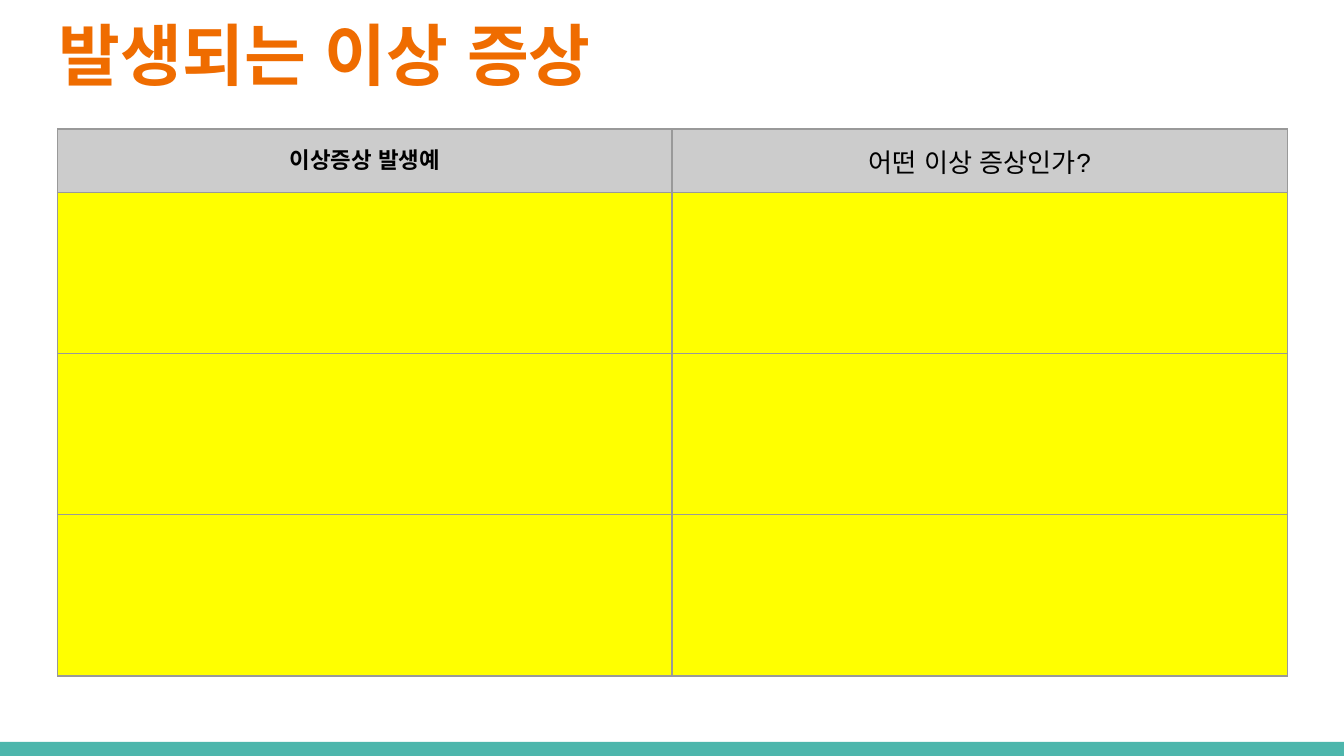
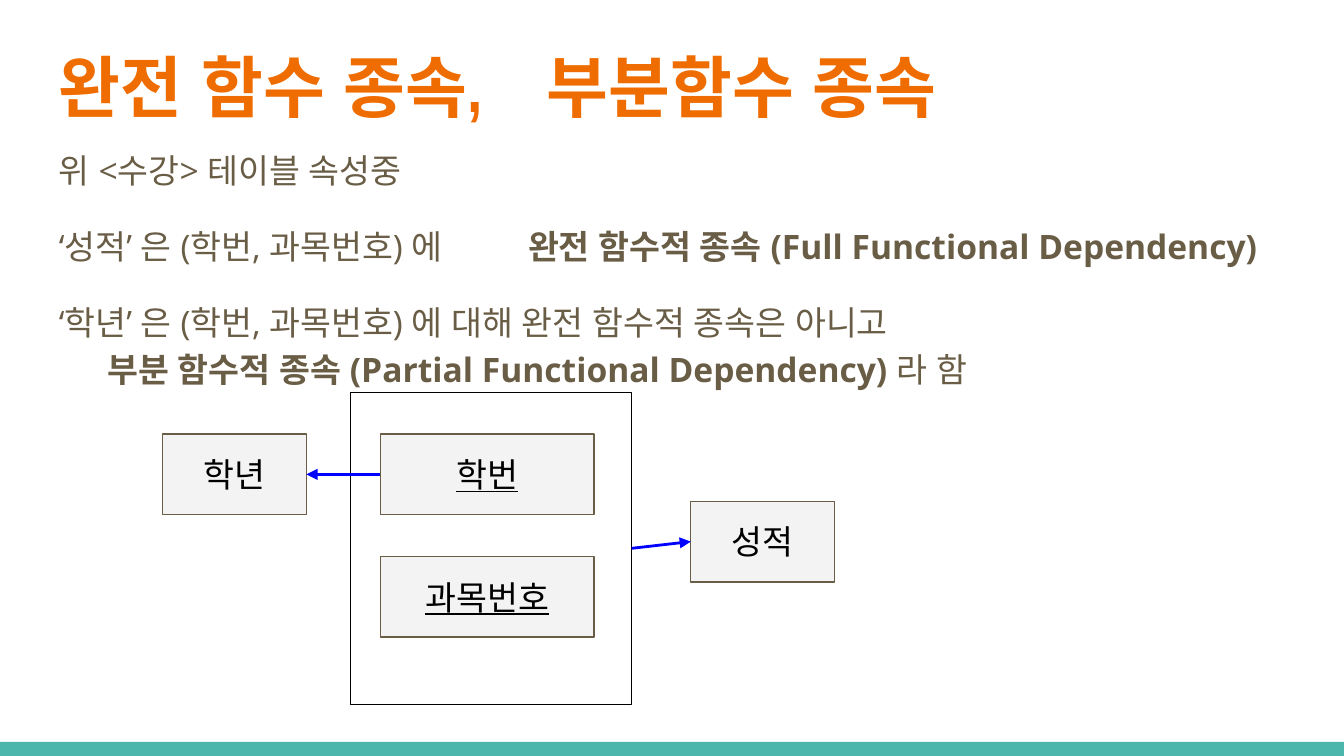
from lxml.etree import SubElement
from pptx import Presentation
from pptx.dml.color import RGBColor
from pptx.enum.lang import MSO_LANGUAGE_ID
from pptx.enum.shapes import MSO_CONNECTOR, MSO_SHAPE
from pptx.enum.text import MSO_ANCHOR, PP_ALIGN
from pptx.oxml.ns import qn
from pptx.util import Inches, Pt

WHITE = RGBColor(0xFF, 0xFF, 0xFF)
BLACK = RGBColor(0, 0, 0)
TEAL = RGBColor(0x4D, 0xB6, 0xAC)
ORANGE = RGBColor(0xEF, 0x6C, 0x00)
BROWN = RGBColor(0x69, 0x5D, 0x46)
LIGHT_GRAY = RGBColor(0xF3, 0xF3, 0xF3)
HEADER_GRAY = RGBColor(0xCC, 0xCC, 0xCC)
BORDER_GRAY = RGBColor(0x99, 0x99, 0x99)
YELLOW = RGBColor(0xFF, 0xFF, 0x00)
BLUE = RGBColor(0, 0, 0xFF)

SLIDE_WIDTH = 10
SLIDE_HEIGHT = SLIDE_WIDTH * 9 / 16
TEXT_LEFT, TEXT_WIDTH = 0.34, 9.32
INSET = Inches(0.1)

KOREAN = dict(language_id=MSO_LANGUAGE_ID.KOREAN)
TITLE = dict(name="Arial Narrow", size=Pt(36), bold=True, color=ORANGE, east_asian="Arial", **KOREAN)
BODY = dict(name="Open Sans", size=Pt(18), bold=False, color=BROWN, east_asian="Open Sans", **KOREAN)
STRONG = {**BODY, "bold": True}
HEADER = dict(name="Arial", size=Pt(14), bold=False, color=BLACK, **KOREAN)
LABEL = {**HEADER, "size": Pt(18), "east_asian": "Arial"}
KEY_LABEL = {**LABEL, "underline": True}

SYMPTOM_TITLE = "발생되는 이상 증상"
SYMPTOM_HEADERS = [
    ("이상증상 발생예", {**HEADER, "size": Pt(12), "bold": True}),
    ("어떤 이상 증상인가?", HEADER),
]
COLUMN_WIDTHS = [4.57, 4.58]
ROW_HEIGHTS = [0.47] + [1.2] * 3

DEPENDENCY_TITLE = "완전 함수 종속,\t부분함수 종속"
DEPENDENCY_TEXT = [
    dict(spans=[("위 <수강> 테이블 속성중", BODY)]),
    dict(spans=[("‘성적’ 은 (학번, 과목번호) 에\t", BODY),
                ("완전 함수적 종속 (Full Functional Dependency)", STRONG)],
         before=16, tab=3.49),
    dict(spans=[("‘학년’ 은 (학번, 과목번호) 에 대해 완전 함수적 종속은 아니고", BODY),
                None,
                ("부분 함수적 종속 (Partial Functional Dependency)", STRONG),
                (" 라 함", BODY)],
         before=16, after=16, hanging=0.36),
]
BOX_HEIGHT = 0.6
WIDE, NARROW = 1.59, 1.07
ATTRIBUTES = [
    ("학번", 2.83, 3.23, WIDE, KEY_LABEL),
    ("과목번호", 2.83, 4.14, WIDE, KEY_LABEL),
    ("학년", 1.21, 3.23, NARROW, LABEL),
    ("성적", 5.14, 3.73, NARROW, LABEL),
]
KEY_FRAME = "key frame"
LEFT_SITE, RIGHT_SITE = 1, 3
ARROWS = [
    ("학번", LEFT_SITE, "학년", RIGHT_SITE),
    (KEY_FRAME, RIGHT_SITE, "성적", LEFT_SITE),
]


def add_span(para, text, style):
    span = para.add_run()
    span.text = text
    for key, value in style.items():
        if key == "color":
            span.font.color.rgb = value
        elif key == "east_asian":
            SubElement(span.font._element, qn("a:ea"), typeface=value)
        else:
            setattr(span.font, key, value)


def add_tab_stop(para, position):
    stops = SubElement(para._p.get_or_add_pPr(), qn("a:tabLst"))
    SubElement(stops, qn("a:tab"), pos=str(Inches(position)), algn="l")


def set_insets(target):
    for side in ("left", "top", "right", "bottom"):
        setattr(target, f"margin_{side}", INSET)


def add_text_box(page, top, height):
    box = page.shapes.add_textbox(Inches(TEXT_LEFT), Inches(top), Inches(TEXT_WIDTH), Inches(height))
    box.text_frame.word_wrap = True
    set_insets(box.text_frame)
    return box.text_frame


def add_rectangle(page, left, top, width, height, fill=None, line=None):
    box = page.shapes.add_shape(MSO_SHAPE.RECTANGLE, Inches(left), Inches(top), Inches(width), Inches(height))
    box.shadow.inherit = False
    if fill is None:
        box.fill.background()
    else:
        box.fill.solid()
        box.fill.fore_color.rgb = fill
    if line is None:
        box.line.fill.background()
    else:
        box.line.color.rgb = line
        box.line.width = Pt(0.75)
    return box


def add_page(deck, title, top, tab=None):
    page = deck.slides.add_slide(deck.slide_layouts[6])
    page.background.fill.solid()
    page.background.fill.fore_color.rgb = WHITE
    add_rectangle(page, 0, 5.52, SLIDE_WIDTH, 0.11, TEAL)
    para = add_text_box(page, top, 0.77).paragraphs[0]
    if tab:
        add_tab_stop(para, tab)
    add_span(para, title, TITLE)
    return page


def set_borders(cell):
    properties = cell._tc.get_or_add_tcPr()
    for index, side in enumerate(("lnL", "lnR", "lnT", "lnB")):
        border = SubElement(properties, qn(f"a:{side}"), w=str(Pt(0.75)))
        fill = SubElement(border, qn("a:solidFill"))
        SubElement(fill, qn("a:srgbClr"), val=str(BORDER_GRAY))
        properties.insert(index, border)


def add_symptom_table(page):
    table = page.shapes.add_table(
        len(ROW_HEIGHTS), len(COLUMN_WIDTHS), Inches(0.43), Inches(0.96),
        Inches(sum(COLUMN_WIDTHS)), Inches(sum(ROW_HEIGHTS))).table
    for column, width in zip(table.columns, COLUMN_WIDTHS):
        column.width = Inches(width)
    for index, (row, height) in enumerate(zip(table.rows, ROW_HEIGHTS)):
        row.height = Inches(height)
        for cell in row.cells:
            set_insets(cell)
            cell.fill.solid()
            cell.fill.fore_color.rgb = YELLOW if index else HEADER_GRAY
            set_borders(cell)
    for column, (text, style) in enumerate(SYMPTOM_HEADERS):
        para = table.cell(0, column).text_frame.paragraphs[0]
        para.alignment = PP_ALIGN.CENTER
        add_span(para, text, style)


def add_body(page):
    frame = add_text_box(page, 0.97, 2.06)
    for index, entry in enumerate(DEPENDENCY_TEXT):
        para = frame.add_paragraph() if index else frame.paragraphs[0]
        para.line_spacing = 1.15
        para.space_before = Pt(entry.get("before", 0))
        para.space_after = Pt(entry.get("after", 0))
        if "tab" in entry:
            add_tab_stop(para, entry["tab"])
        if "hanging" in entry:
            properties = para._p.get_or_add_pPr()
            properties.set("marL", str(Inches(entry["hanging"])))
            properties.set("indent", str(-Inches(entry["hanging"])))
        for span in entry["spans"]:
            if span is None:
                para.add_line_break()
            else:
                add_span(para, *span)


def add_arrow(page, source, source_site, target, target_site):
    arrow = page.shapes.add_connector(MSO_CONNECTOR.STRAIGHT, 0, 0, 0, 0)
    arrow.begin_connect(source, source_site)
    arrow.end_connect(target, target_site)
    arrow.line.color.rgb = BLUE
    arrow.line.width = Pt(1.5)
    SubElement(arrow.line._get_or_add_ln(), qn("a:tailEnd"), type="triangle")
    SubElement(arrow._element.spPr, qn("a:effectLst"))


def add_diagram(page):
    boxes = {KEY_FRAME: add_rectangle(page, 2.61, 2.92, 2.09, 2.32, line=BLACK)}
    for text, left, top, width, style in ATTRIBUTES:
        box = add_rectangle(page, left, top, width, BOX_HEIGHT, LIGHT_GRAY, BROWN)
        box.text_frame.word_wrap = True
        box.text_frame.vertical_anchor = MSO_ANCHOR.MIDDLE
        set_insets(box.text_frame)
        para = box.text_frame.paragraphs[0]
        para.alignment = PP_ALIGN.CENTER
        add_span(para, text, style)
        boxes[text] = box
    for source, source_site, target, target_site in ARROWS:
        add_arrow(page, boxes[source], source_site, boxes[target], target_site)


deck = Presentation()
deck.slide_width = Inches(SLIDE_WIDTH)
deck.slide_height = Inches(SLIDE_HEIGHT)

add_symptom_table(add_page(deck, SYMPTOM_TITLE, 0))

dependency_page = add_page(deck, DEPENDENCY_TITLE, 0.24, tab=3.63)
add_body(dependency_page)
add_diagram(dependency_page)

deck.save("out.pptx")
